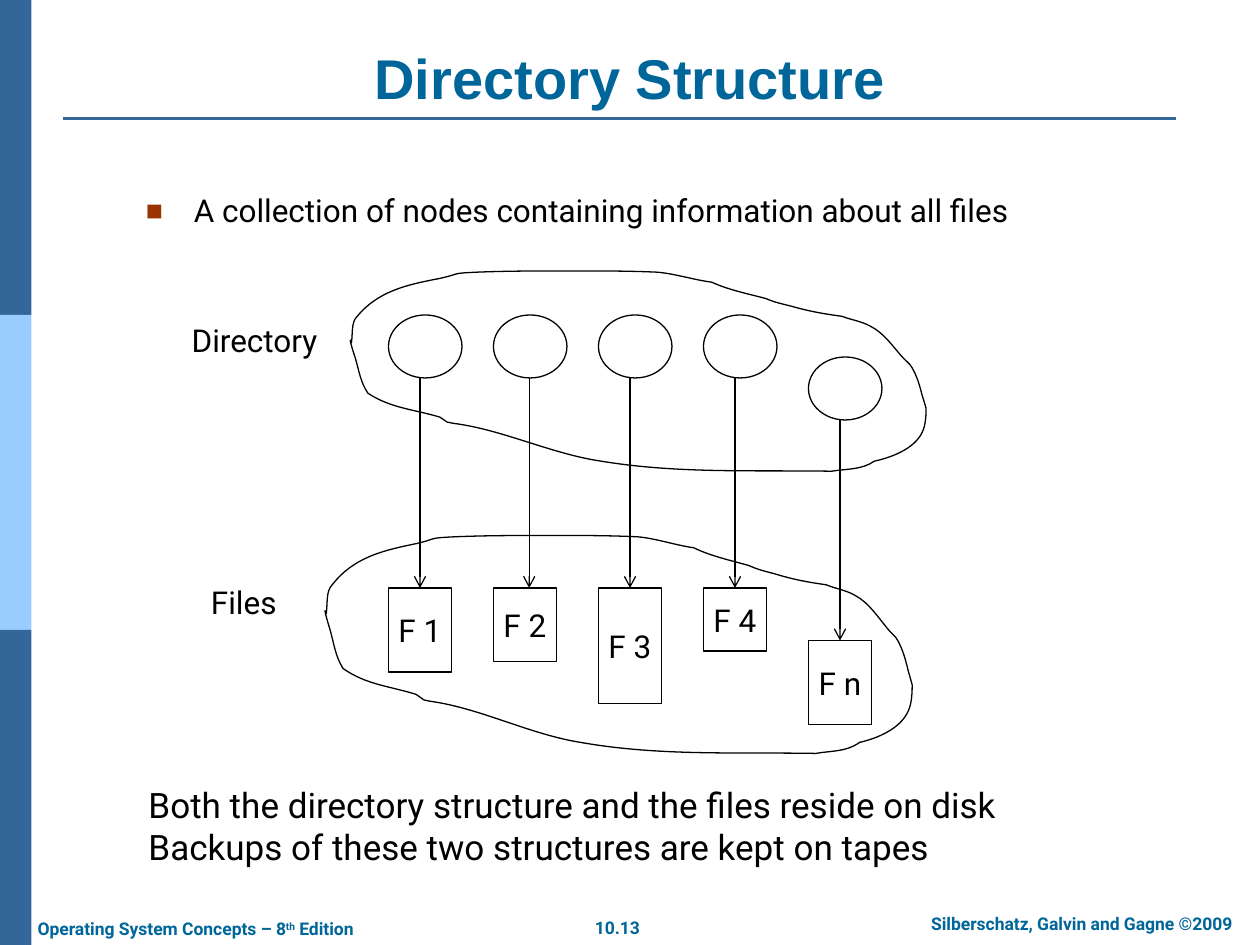
import pptx
import pptx.util
import pptx.dml.color
import pptx.enum.shapes
import pptx.enum.text
import pptx.oxml.ns
from lxml import etree

PRESET = pptx.enum.shapes.MSO_SHAPE
ALIGN = pptx.enum.text.PP_ALIGN
ANCHOR = pptx.enum.text.MSO_ANCHOR
qn = pptx.oxml.ns.qn
BLUE, LIGHT_BLUE, TEXT_BLUE = "336699", "99CCFF", "006699"
BLACK, WHITE, BULLET_RED = "000000", "FFFFFF", "993300"

presentation = pptx.Presentation()
presentation.slide_width = pptx.util.Inches(10)
presentation.slide_height = pptx.util.Inches(7.5)
slide = presentation.slides.add_slide(presentation.slide_layouts[6])
shapes = slide.shapes
unit = presentation.slide_width // 120  # grid of 120 columns and 90 rows


def paint(color_format, color):
    """Give a fill or line a solid colour."""
    color_format.fill.solid()
    color_format.fill.fore_color.rgb = pptx.dml.color.RGBColor.from_string(color)


def write(shape, lines, size, color=BLACK, font="Roboto", bold=False,
          align=ALIGN.CENTER, anchor=ANCHOR.MIDDLE, wrap=False):
    """Put lines, each a list of runs, into a shape."""
    frame = shape.text_frame
    frame.word_wrap = wrap
    frame.vertical_anchor = anchor
    for index, runs in enumerate(lines):
        paragraph = frame.paragraphs[0] if index == 0 else frame.add_paragraph()
        paragraph.alignment = align
        paragraph.font.size = pptx.util.Pt(size)
        paragraph.font.name = font
        paragraph.font.bold = bold
        paragraph.font.color.rgb = pptx.dml.color.RGBColor.from_string(color)
        for text in runs:
            paragraph.add_run().text = text
    return frame.paragraphs[0]


# Side bar and rule under the title
for band, color in enumerate((BLUE, LIGHT_BLUE, BLUE)):
    bar = shapes.add_shape(PRESET.RECTANGLE, 0, band * 30 * unit, 3 * unit, 30 * unit)
    bar.shadow.inherit = False
    paint(bar, color)
    bar.line.fill.background()

# Connectors as (x1, y1, x2, y2, colour, width, arrowhead)
connectors = [(6, 11.28, 112, 11.28, BLUE, 1.5, False)]

# Directory nodes and files, five columns ten units apart
files = [  # label, node top, file top, file height, arrow column
    ("F 1", 30, 56, 8, 40),
    ("F 2", 30, 56, 7, 50.4),
    ("F 3", 30, 56, 11, 60),
    ("F 4", 30, 56, 6, 70),
    ("F n", 34, 61, 8, 80),
]
for index, (label, node_top, file_top, file_height, arrow_x) in enumerate(files):
    left = (37 + 10 * index) * unit
    node = shapes.add_shape(PRESET.OVAL, left, node_top * unit, 7 * unit, 6 * unit)
    file_box = shapes.add_shape(PRESET.RECTANGLE, left, file_top * unit,
                                6 * unit, file_height * unit)
    for shape in (node, file_box):
        shape.shadow.inherit = False
        paint(shape, WHITE)
        paint(shape.line, BLACK)
        shape.line.width = pptx.util.Pt(0.75)
    write(file_box, [[label]], 18)
    connectors.append((arrow_x, node_top + 6, arrow_x, file_top, BLACK, 0.75, True))

for x1, y1, x2, y2, color, width, has_arrow in connectors:
    connector = shapes.add_connector(pptx.enum.shapes.MSO_CONNECTOR.STRAIGHT,
                                     *(int(value * unit) for value in (x1, y1, x2, y2)))
    paint(connector.line, color)
    connector.line.width = pptx.util.Pt(width)
    if has_arrow:
        etree.SubElement(connector.line._get_or_add_ln(), qn("a:tailEnd"), type="arrow")
    etree.SubElement(connector._element.spPr, qn("a:effectLst"))

# Hand-drawn outline: cubic curves in inches, reused at a second place and size
outline_start = (2.79, 2.72)
outline_curves = [
    (2.8, 2.65, 2.79, 2.58, 2.82, 2.53), (2.99, 2.31, 3.23, 2.26, 3.49, 2.21),
    (3.67, 2.17, 3.57, 2.17, 3.79, 2.16), (4.04, 2.15, 4.29, 2.15, 4.55, 2.15),
    (4.77, 2.15, 4.99, 2.15, 5.21, 2.16), (5.35, 2.17, 5.5, 2.22, 5.65, 2.24),
    (5.78, 2.3, 5.93, 2.33, 6.08, 2.37), (6.15, 2.4, 6.2, 2.41, 6.28, 2.43),
    (6.42, 2.47, 6.53, 2.49, 6.68, 2.51), (6.76, 2.54, 6.84, 2.55, 6.91, 2.59),
    (7.01, 2.64, 7.08, 2.74, 7.15, 2.82), (7.18, 2.86, 7.22, 2.88, 7.24, 2.92),
    (7.28, 2.99, 7.3, 3.06, 7.32, 3.14), (7.33, 3.17, 7.35, 3.24, 7.35, 3.24),
    (7.35, 3.28, 7.35, 3.37, 7.32, 3.43), (7.26, 3.56, 7.08, 3.63, 6.94, 3.66),
    (6.84, 3.73, 6.72, 3.72, 6.6, 3.74), (5.96, 3.73, 5.38, 3.76, 4.77, 3.66),
    (4.37, 3.6, 3.99, 3.41, 3.6, 3.36), (3.58, 3.36, 3.57, 3.35, 3.55, 3.35),
    (3.53, 3.34, 3.51, 3.32, 3.49, 3.31), (3.29, 3.25, 3.1, 3.24, 2.92, 3.12),
    (2.86, 3.03, 2.85, 2.94, 2.82, 2.84), (2.82, 2.84, 2.78, 2.72, 2.78, 2.7),
    (2.78, 2.69, 2.79, 2.71, 2.79, 2.72),
]
# Flat list of points: the start, then two controls and an end for each curve
points = [outline_start]
for curve in outline_curves:
    points += zip(curve[::2], curve[1::2])

for left, top, width, height in ((2.78, 2.15, 4.57, 1.59), (2.58, 4.25, 4.66, 1.73)):
    placed = [(pptx.util.Inches(left + (x - 2.78) * width / 4.57),
               pptx.util.Inches(top + (y - 2.15) * height / 1.59)) for x, y in points]
    builder = shapes.build_freeform(*placed[0])
    builder.add_line_segments(placed[3::3], close=True)
    outline = builder.convert_to_shape()
    outline.shadow.inherit = False
    outline.fill.background()
    paint(outline.line, BLACK)
    outline.line.width = pptx.util.Pt(0.75)
    # Turn each straight segment into its cubic curve
    for index, segment in enumerate(list(outline._element.iter(qn("a:lnTo")))):
        curve = etree.Element(qn("a:cubicBezTo"))
        for x, y in placed[3 * index + 1:3 * index + 4]:
            etree.SubElement(curve, qn("a:pt"), x=str(x - outline.left),
                             y=str(y - outline.top))
        segment.getparent().replace(segment, curve)

# Texts: box in inches, lines of runs, size, options
footer = {"color": TEXT_BLUE, "bold": True, "anchor": ANCHOR.TOP}
left_top = {"align": ALIGN.LEFT, "anchor": ANCHOR.TOP}
texts = [
    ((0.5, 0.3, 9, 0.63), [["Directory Structure"]], 32,
     {"color": TEXT_BLUE, "font": "Arial", "bold": True,
      "anchor": ANCHOR.BOTTOM, "wrap": True}),
    ((1.42, 2.5, 1.2, 0.4), [["Directory"]], 18, {}),
    ((1.57, 4.58, 0.73, 0.4), [["Files"]], 18, {}),
    ((1.08, 6.17, 7.69, 0.42),
     [["Both the directory structure and the files reside on disk"],
      ["Backups of these two structures are kept on tapes"]], 20,
     {**left_top, "wrap": True}),
    ((4.62, 7.23, 0.56, 0.27), [["10.13"]], 10, footer),
    ((7.1, 7.2, 2.97, 0.27), [["Silberschatz, Galvin and Gagne ©2009"]], 10,
     {**footer, "wrap": True}),
    ((0.2, 7.24, 2.88, 0.27), [["Operating System Concepts – 8", "th", " Edition"]], 10,
     {**footer, **left_top}),
    ((1.06, 1.5, 8.06, 0.39),
     [["A collection of nodes containing information about all files"]], 18,
     {**left_top, "wrap": True}),
]
for box, lines, size, options in texts:
    text_box = shapes.add_textbox(*map(pptx.util.Inches, box))
    paragraph = write(text_box, lines, size, **options)
    if len(paragraph.runs) == 3:
        paragraph.runs[1]._r.get_or_add_rPr().set("baseline", "30000")

# The last text is the bulleted statement
paragraph.line_spacing = 0.9
properties = paragraph._p.get_or_add_pPr()
properties.set("marL", str(pptx.util.Inches(0.38)))
properties.set("indent", str(pptx.util.Inches(-0.38)))
bullet_color = etree.Element(qn("a:buClr"))
etree.SubElement(bullet_color, qn("a:srgbClr"), val=BULLET_RED)
bullet_size = etree.Element(qn("a:buSzPct"), val="90000")
bullet_font = etree.Element(qn("a:buFont"), typeface="Arial")
bullet = etree.Element(qn("a:buChar"), char="■")
for element in (bullet_color, bullet_size, bullet_font, bullet):
    properties.find(qn("a:defRPr")).addprevious(element)

presentation.save("out.pptx")
